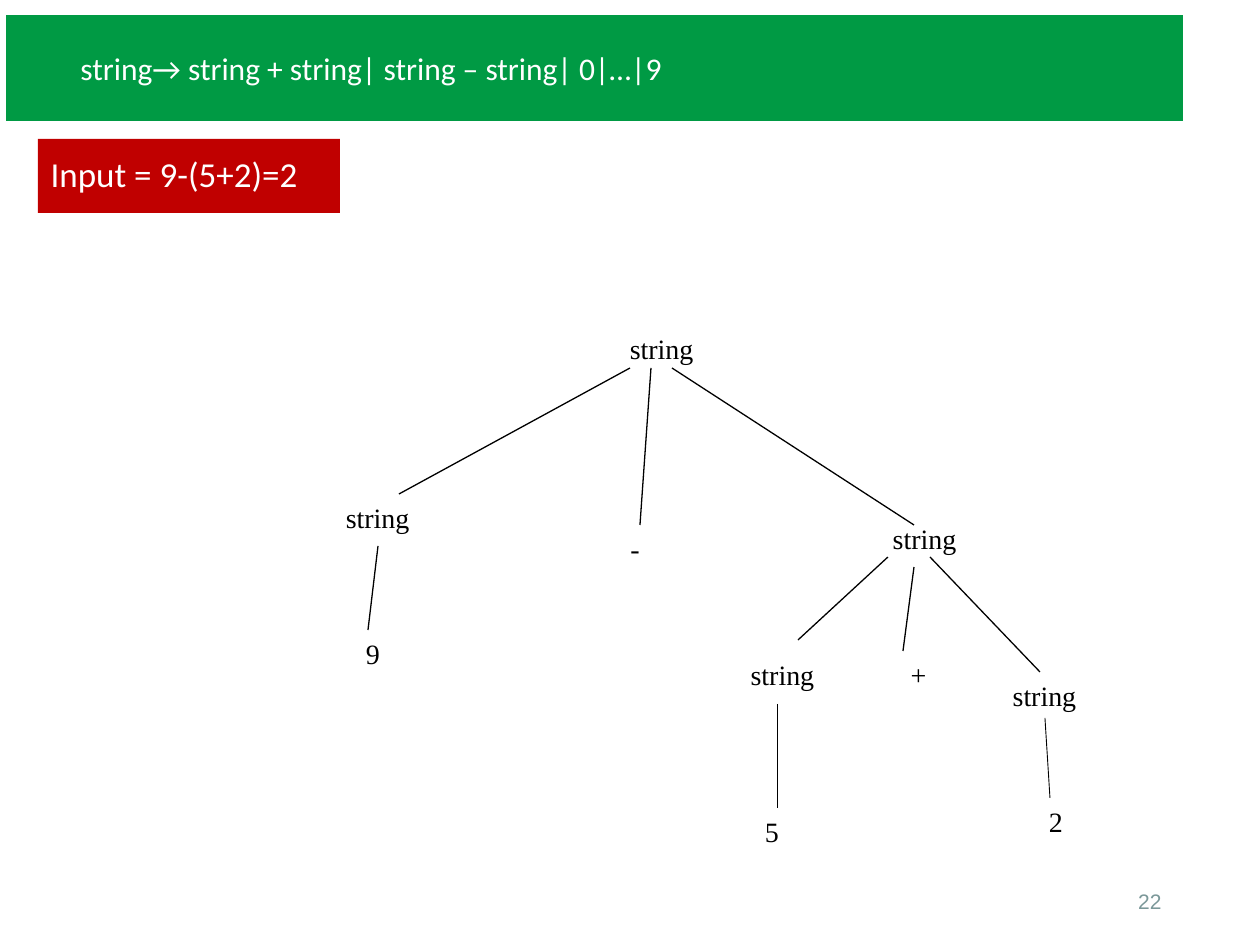
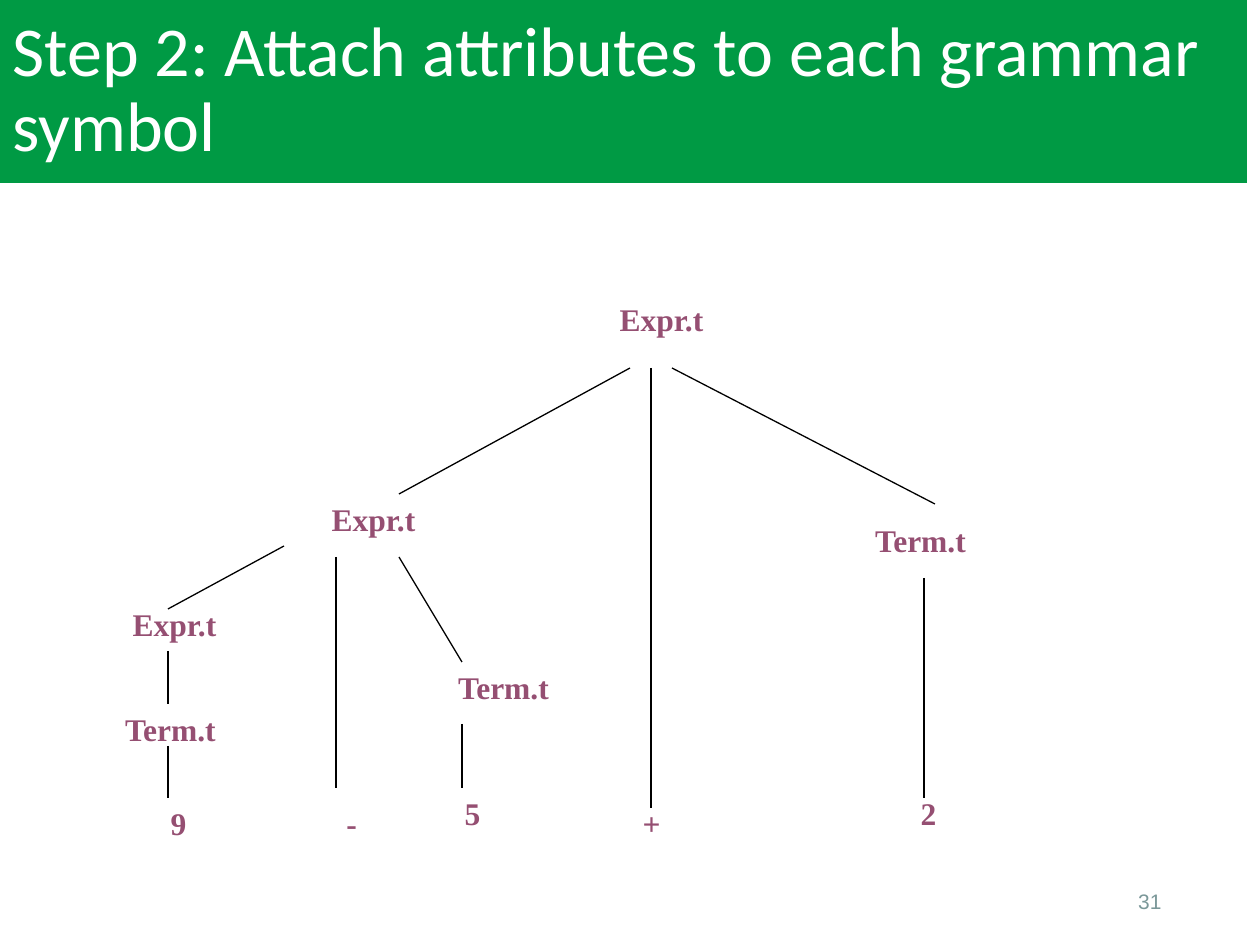
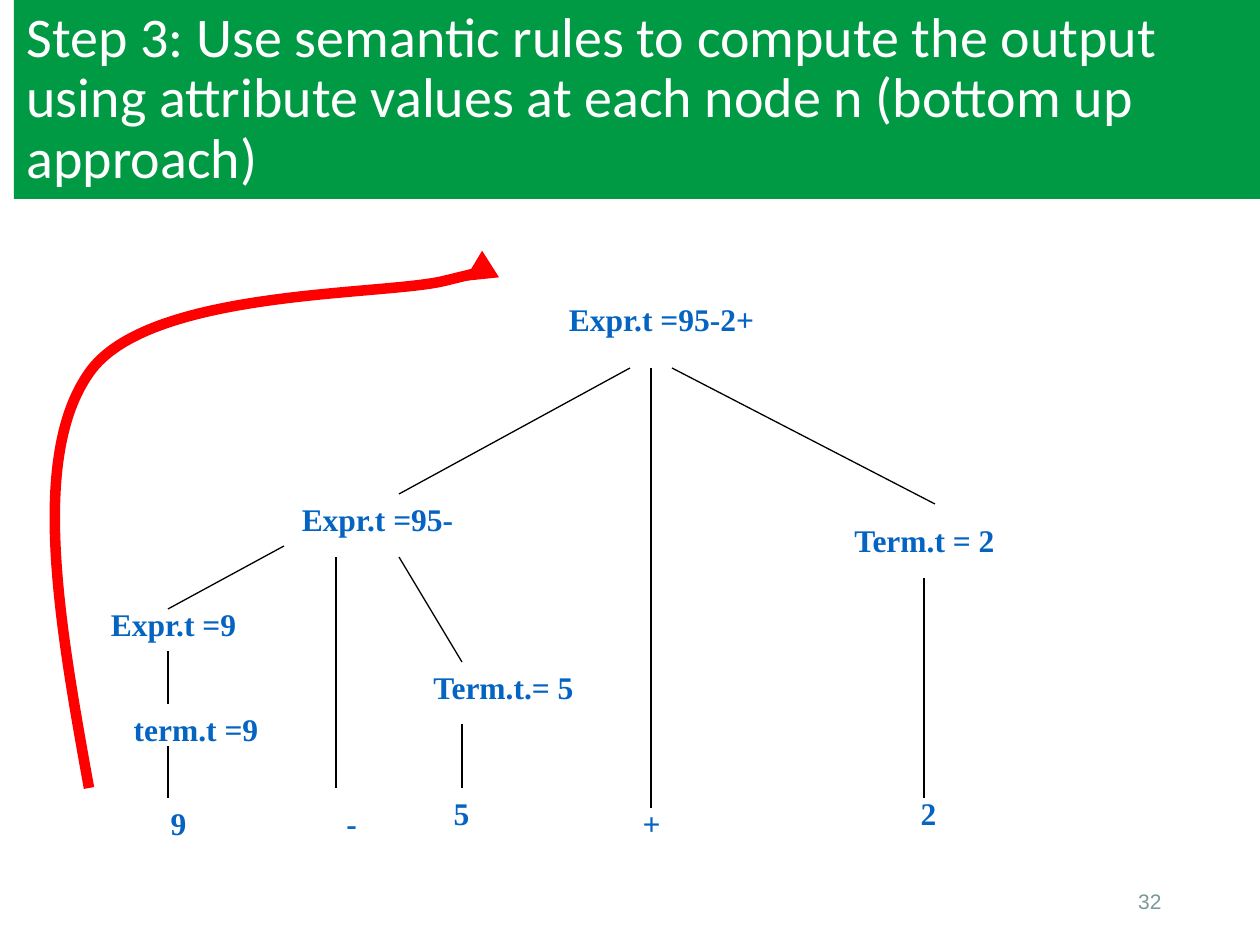
from dataclasses import dataclass

from pptx import Presentation
from pptx.dml.color import RGBColor
from pptx.enum.shapes import MSO_CONNECTOR, MSO_SHAPE
from pptx.enum.text import MSO_ANCHOR as ANCHOR, MSO_AUTO_SIZE, PP_ALIGN as ALIGN
from pptx.oxml.ns import qn
from pptx.oxml.xmlchemy import OxmlElement
from pptx.util import Inches, Pt

PX = Inches(1) / 126


@dataclass(frozen=True)
class Theme:
    green: str = "009A44"
    red: str = "C00000"
    arrow: str = "FF0000"
    white: str = "FFFFFF"
    black: str = "000000"
    purple: str = "954F72"
    blue: str = "0563C1"
    grey: str = "7B9899"
    head_font: str = "Calibri"
    tree_font: str = "Times New Roman"
    page_font: str = "Arial"
    input_size: int = 20
    rule_size: int = 18
    step2_size: int = 40
    step3_size: int = 32
    plain_size: int = 16
    node_size: int = 18
    page_size: int = 12
    branch: float = 0.75
    thin_branch: float = 0.5
    sweep: float = 6


T = Theme()

# Content: boxes are (left, top, width, height), branches (x1, y1, x2, y2), in px
GRAMMAR = "string→ string + string| string – string| 0|…|9"
GRAMMAR_BOX = (5, 14, 1179, 108)
PAGE_BOX = (890, 876, 284, 50)

PARSE_NODES = [  # text, (left, top, width)
    ("string", (483, 325, 357)),
    ("string", (746, 515, 357)),
    ("string", (199, 494, 357)),
    ("string", (955, 672, 179)),
    ("-", (577, 525, 116)),
    ("string", (683, 651, 199)),
    ("+", (819, 651, 199)),
    ("9", (315, 630, 116)),
    ("5", (714, 808, 116)),
    ("2", (998, 798, 116)),
]
PARSE_BRANCHES = [
    (630, 368, 399, 494), (651, 368, 640, 525), (672, 368, 914, 525),
    (888, 557, 798, 640), (914, 567, 903, 651), (378, 546, 368, 630),
    (930, 557, 1040, 672),
]
PARSE_LEAF_BRANCHES = [(777, 704, 777, 808), (1045, 718, 1050, 798)]

# The annotated trees share their slots and branches
SLOTS = {
    "root": (483, 294, 357),
    "left expr": (199, 494, 357),
    "right term": (746, 515, 357),
    "middle term": (325, 662, 357),
    "low expr": (0, 599, 349),
    "low term": (0, 704, 341),
    "nine": (0, 798, 357),
    "minus": (252, 798, 199),
    "five": (336, 788, 273),
    "plus": (473, 798, 357),
    "two": (766, 788, 325),
}
ATTRIBUTE_BRANCHES = [
    (630, 368, 399, 494), (651, 368, 651, 808), (672, 368, 935, 504),
    (399, 557, 462, 662), (462, 724, 462, 788), (336, 557, 336, 788),
    (284, 546, 168, 609), (168, 651, 168, 704), (168, 746, 168, 798),
    (924, 578, 924, 798),
]
LEAVES = ["9", "-", "5", "+", "2"]
ATTRIBUTES = ["Expr.t", "Expr.t", "Term.t", "Term.t", "Expr.t", "Term.t"] + LEAVES
VALUES = ["Expr.t =95-2+", "Expr.t =95-", "Term.t = 2", "Term.t.= 5",
          "Expr.t =9", "term.t =9"] + LEAVES
ATTRIBUTE_SLOTS = SLOTS | {
    "left expr": (195, 494, 357),
    "right term": (742, 515, 357),
}
VALUE_SLOTS = SLOTS | {
    "low expr": (63, 599, 221),
    "low term": (91, 704, 210),
    "nine": (84, 798, 189),
    "five": (325, 788, 273),
}
BOTTOM_UP = [  # start, then three points for each curve
    (89, 788),
    (59, 622), (30, 457), (89, 373),
    (147, 289), (381, 296), (444, 281),
    (505, 266), (484, 273), (464, 281),
]

SLIDES = [
    dict(title="Input = 9-(5+2)=2", box=(38, 139, 302, 74), size=T.input_size,
         fill=T.red, page=22),
    dict(title="Step 2: Attach attributes to each grammar symbol",
         box=(0, 0, 1247, 183), size=T.step2_size, fill=T.green, page=31),
    dict(title="Step 3: Use semantic rules to compute the output using "
               "attribute values at each node n (bottom up approach)",
         box=(14, 0, 1246, 199), size=T.step3_size, fill=T.green, page=32),
]


# Helpers
def px(*lengths):
    return [round(n * PX) for n in lengths]


def rgb(color):
    return RGBColor.from_string(color)


def write(s, text, *, font, size, color, bold=False, align=ALIGN.LEFT,
          anchor=ANCHOR.MIDDLE, spacing=None):
    tf = s.text_frame
    tf.word_wrap = True
    tf.auto_size = MSO_AUTO_SIZE.NONE
    tf.vertical_anchor = anchor
    p = tf.paragraphs[0]
    p.alignment = align
    p.line_spacing = spacing
    r = p.add_run()
    r.text = text
    r.font.name, r.font.size, r.font.bold = font, Pt(size), bold
    r.font.color.rgb = rgb(color)
    return p


def fill_with(s, color):
    s.fill.solid()
    s.fill.fore_color.rgb = rgb(color)


def stroke(s, color, width):
    s.line.color.rgb = rgb(color)
    s.line.width = Pt(width)


def add_text(slide, text, box, **style):
    write(slide.shapes.add_textbox(*px(*box)), text, **style)


def add_branches(slide, branches, width=T.branch):
    for ends in branches:
        s = slide.shapes.add_connector(MSO_CONNECTOR.STRAIGHT, *px(*ends))
        stroke(s, T.black, width)
        s._element.spPr.append(OxmlElement("a:effectLst"))


def add_nodes(slide, nodes, size, color, bold):
    height = 46 if size == T.plain_size else 50
    for text, slot in nodes:
        add_text(slide, text, (*slot, height), font=T.tree_font, size=size,
                 color=color, bold=bold, align=ALIGN.CENTER, anchor=ANCHOR.TOP)


def add_grammar(slide):
    s = slide.shapes.add_shape(MSO_SHAPE.RECTANGLE, *px(*GRAMMAR_BOX))
    s.shadow.inherit = False
    fill_with(s, T.green)
    stroke(s, T.white, 1)
    p = write(s, GRAMMAR, font=T.head_font, size=T.rule_size, color=T.white)
    p.level = 1
    pPr = p._p.get_or_add_pPr()
    pPr.set("marL", str(Inches(0.5)))
    pPr.set("indent", "0")


def add_sweep(slide, points):
    builder = slide.shapes.build_freeform(*points[0], scale=PX)
    builder.add_line_segments(points[1:], close=False)
    s = builder.convert_to_shape()
    s.shadow.inherit = False
    s.fill.background()
    stroke(s, T.arrow, T.sweep)
    # Turn each three segments into one cubic curve
    outline = s._element.spPr.find(".//" + qn("a:path"))
    segments = outline.findall(qn("a:lnTo"))
    for i in range(0, len(segments), 3):
        curve = OxmlElement("a:cubicBezTo")
        for segment in segments[i:i + 3]:
            curve.append(segment[0])
            outline.remove(segment)
        outline.append(curve)
    tail = OxmlElement("a:tailEnd")
    tail.set("type", "triangle")
    s._element.spPr.find(qn("a:ln")).append(tail)


def add_slide(prs, title, box, size, fill, page):
    slide = prs.slides.add_slide(prs.slide_layouts[5])
    s = slide.shapes.title
    s.left, s.top, s.width, s.height = px(*box)
    fill_with(s, fill)
    write(s, title, font=T.head_font, size=size, color=T.white, spacing=0.9)
    add_text(slide, str(page), PAGE_BOX, font=T.page_font, size=T.page_size,
             color=T.grey, align=ALIGN.RIGHT)
    return slide


def main():
    prs = Presentation()
    prs.slide_width, prs.slide_height = px(1260, 945)
    parse, attributes, values = [add_slide(prs, **spec) for spec in SLIDES]

    # Parse tree under its grammar
    add_branches(parse, PARSE_BRANCHES)
    add_branches(parse, PARSE_LEAF_BRANCHES, T.thin_branch)
    add_nodes(parse, PARSE_NODES, T.plain_size, T.black, False)
    add_grammar(parse)

    # Annotated trees
    for slide, labels, slots, color in [
        (attributes, ATTRIBUTES, ATTRIBUTE_SLOTS, T.purple),
        (values, VALUES, VALUE_SLOTS, T.blue),
    ]:
        add_branches(slide, ATTRIBUTE_BRANCHES)
        add_nodes(slide, zip(labels, slots.values()), T.node_size, color, True)
    add_sweep(values, BOTTOM_UP)

    prs.save("out.pptx")


if __name__ == "__main__":
    main()
